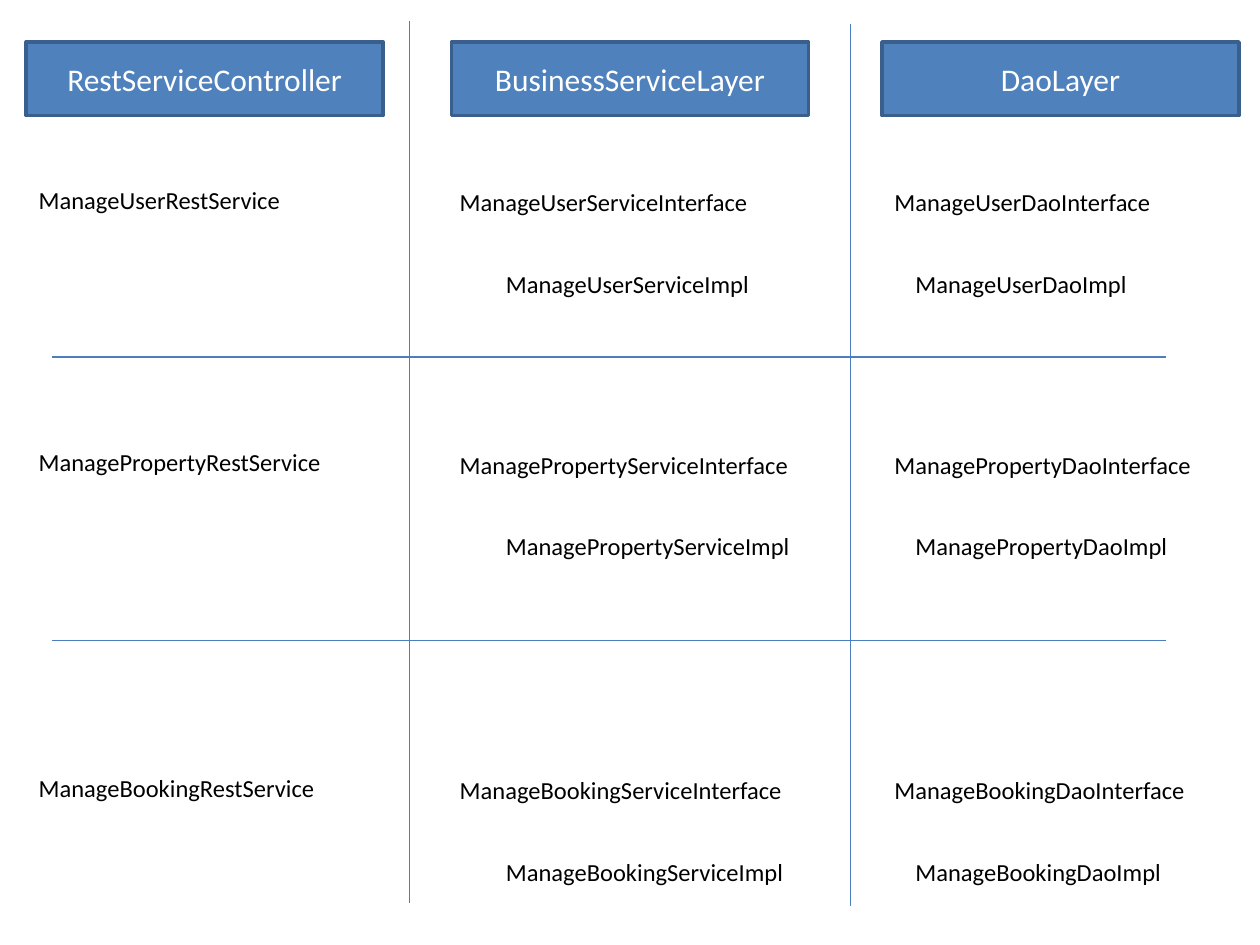
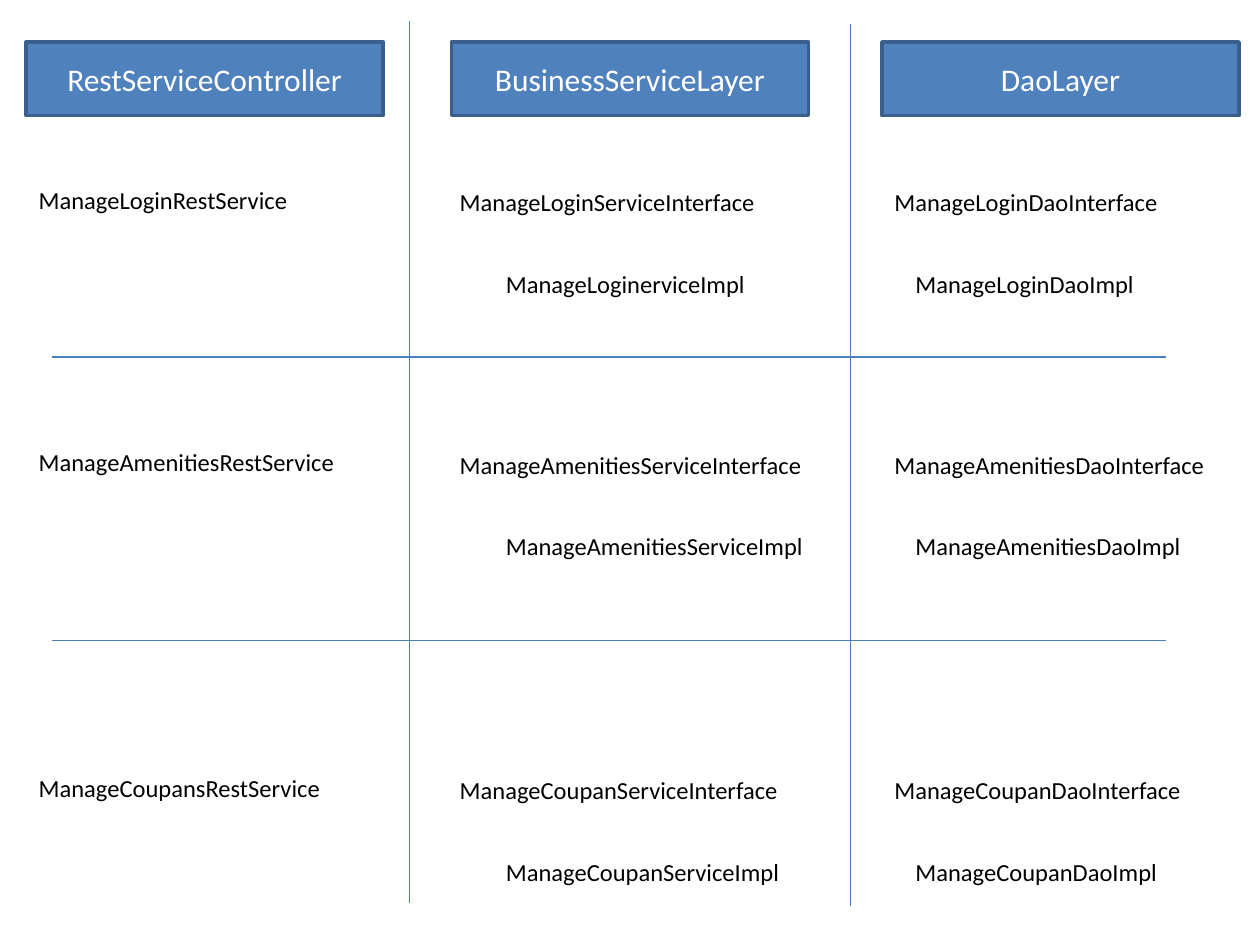
from pptx import Presentation
from pptx.dml.color import RGBColor
from pptx.enum.shapes import MSO_CONNECTOR, MSO_SHAPE
from pptx.enum.text import MSO_ANCHOR, MSO_AUTO_SIZE, PP_ALIGN
from pptx.oxml.ns import qn
from pptx.util import Inches, Pt
from lxml import etree

RECTANGLE = MSO_SHAPE.RECTANGLE
STRAIGHT = MSO_CONNECTOR.STRAIGHT
MIDDLE = MSO_ANCHOR.MIDDLE
CENTER = PP_ALIGN.CENTER
LEFT = PP_ALIGN.LEFT
GROW = MSO_AUTO_SIZE.SHAPE_TO_FIT_TEXT

HEADER_FILL = RGBColor(0x4F, 0x81, 0xBD)
HEADER_EDGE = RGBColor(0x3A, 0x5F, 0x8C)
DIVIDER = RGBColor(0x4B, 0x7E, 0xBC)
WHITE = RGBColor(0xFF, 0xFF, 0xFF)
BLACK = RGBColor(0x00, 0x00, 0x00)
FONT = "Calibri"

# The slide is a grid of 120 columns by 90 rows, 12 to the inch.
COLUMNS, ROWS = 120, 90
CELL = Inches(1) / 12
COLUMN_WIDTH = 34
WIDE_NAME_WIDTH = 35.4
LONGEST_NORMAL_NAME = 30
HEADER_TOP, HEADER_HEIGHT = 4, 7
NAME_HEIGHT = 4.1
INTERFACE_DROP = 0.25
IMPL_DROP = 8

HEADERS = [("RestServiceController", 2.5), ("BusinessServiceLayer", 43), ("DaoLayer", 84)]
REST_LEFT = 2.5
SERVICE_LEFT, SERVICE_IMPL_LEFT = 42.6, 47
DAO_LEFT, DAO_IMPL_LEFT = 84, 86
BAND_TOPS = [17, 42, 73]
DIVIDERS = [
    (39, 2, 39, 86),
    (81, 2.25, 81, 86.25),
    (5, 34, 111, 34),
    (5, 61, 111, 61),
]

# Each band: REST service, service interface and class, DAO interface and class.
SLIDES = [
    [
        ("ManageUserRestService", "ManageUserServiceInterface", "ManageUserServiceImpl",
         "ManageUserDaoInterface", "ManageUserDaoImpl"),
        ("ManagePropertyRestService", "ManagePropertyServiceInterface",
         "ManagePropertyServiceImpl", "ManagePropertyDaoInterface", "ManagePropertyDaoImpl"),
        ("ManageBookingRestService", "ManageBookingServiceInterface",
         "ManageBookingServiceImpl", "ManageBookingDaoInterface", "ManageBookingDaoImpl"),
    ],
    [
        ("ManageLoginRestService", "ManageLoginServiceInterface", "ManageLoginerviceImpl",
         "ManageLoginDaoInterface", "ManageLoginDaoImpl"),
        ("ManageAmenitiesRestService", "ManageAmenitiesServiceInterface",
         "ManageAmenitiesServiceImpl", "ManageAmenitiesDaoInterface", "ManageAmenitiesDaoImpl"),
        ("ManageCoupansRestService", "ManageCoupanServiceInterface",
         "ManageCoupanServiceImpl", "ManageCoupanDaoInterface", "ManageCoupanDaoImpl"),
    ],
]


def grid(*cells):
    """Convert grid columns or rows to slide lengths."""
    return [round(cell * CELL) for cell in cells]


def write(frame, text, size, color, align):
    frame.word_wrap = True
    frame.text = text
    paragraph = frame.paragraphs[0]
    paragraph.alignment = align
    font = paragraph.runs[0].font
    font.name, font.size = FONT, Pt(size)
    font.color.rgb = color


def add_header(slide, text, left):
    header = slide.shapes.add_shape(
        RECTANGLE, *grid(left, HEADER_TOP, COLUMN_WIDTH, HEADER_HEIGHT))
    header.shadow.inherit = False
    header.fill.solid()
    header.fill.fore_color.rgb = HEADER_FILL
    header.line.color.rgb = HEADER_EDGE
    header.line.width = Pt(2)
    header.text_frame.vertical_anchor = MIDDLE
    write(header.text_frame, text, 18, WHITE, CENTER)


def add_name(slide, text, left, top):
    width = WIDE_NAME_WIDTH if len(text) > LONGEST_NORMAL_NAME else COLUMN_WIDTH
    name = slide.shapes.add_textbox(*grid(left, top, width, NAME_HEIGHT))
    write(name.text_frame, text, 14, BLACK, LEFT)
    name.text_frame.auto_size = GROW


def add_band(slide, names, top):
    """Place the five class names of one entity below the top row of its band."""
    interface_top, impl_top = top + INTERFACE_DROP, top + IMPL_DROP
    places = [
        (REST_LEFT, top),
        (SERVICE_LEFT, interface_top),
        (SERVICE_IMPL_LEFT, impl_top),
        (DAO_LEFT, interface_top),
        (DAO_IMPL_LEFT, impl_top),
    ]
    for name, place in zip(names, places):
        add_name(slide, name, *place)


def add_divider(slide, ends):
    divider = slide.shapes.add_connector(STRAIGHT, *grid(*ends))
    divider.line.color.rgb = DIVIDER
    divider.line.width = Pt(0.75)
    etree.SubElement(divider._element.spPr, qn("a:effectLst"))


def add_layer_slide(deck, bands):
    slide = deck.slides.add_slide(deck.slide_layouts[6])
    for text, left in HEADERS:
        add_header(slide, text, left)
    for names, top in zip(bands, BAND_TOPS):
        add_band(slide, names, top)
    for ends in DIVIDERS:
        add_divider(slide, ends)


def main():
    deck = Presentation()
    deck.slide_width, deck.slide_height = grid(COLUMNS, ROWS)
    for bands in SLIDES:
        add_layer_slide(deck, bands)
    deck.save("out.pptx")


if __name__ == "__main__":
    main()
